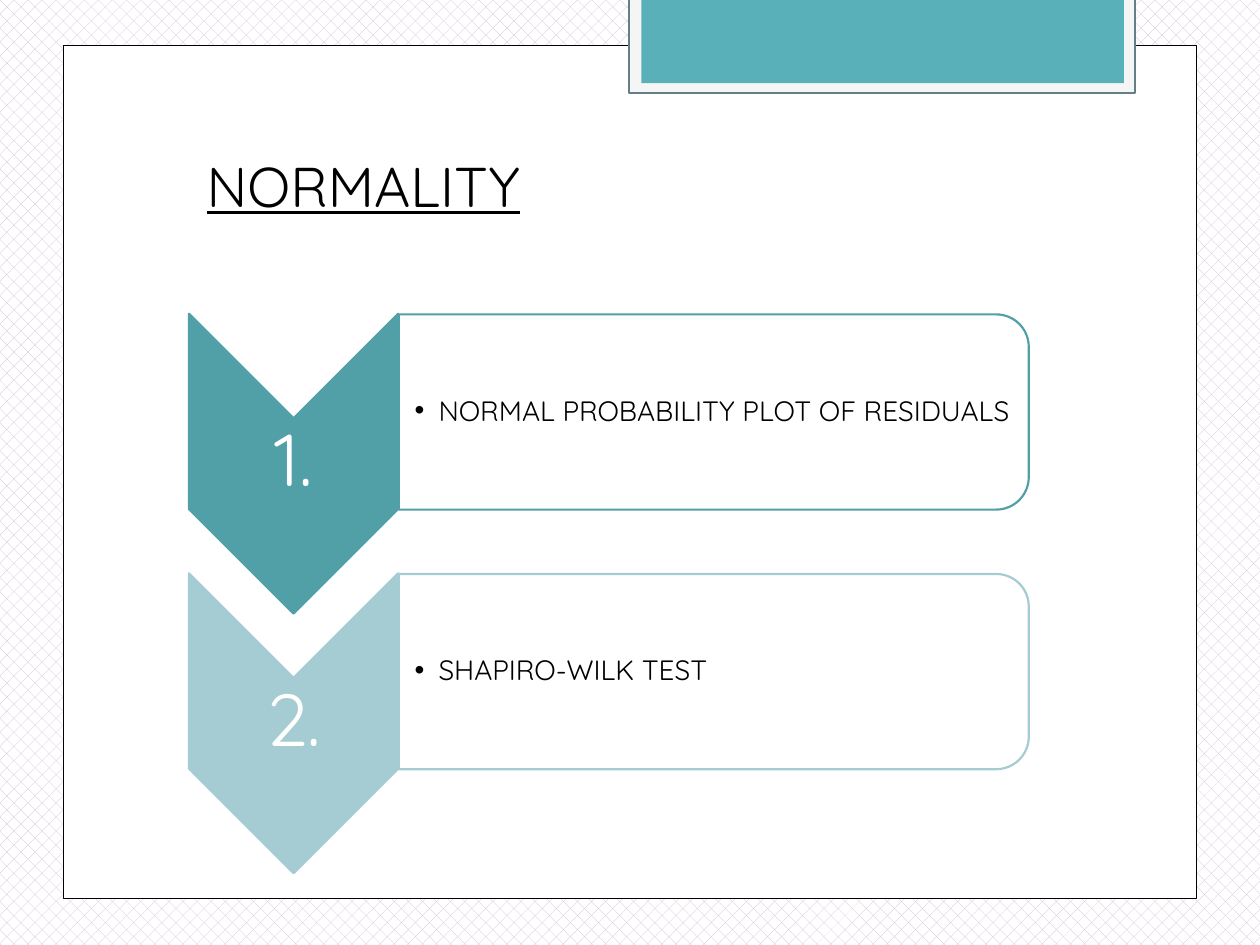
"""Build the NORMALITY slide: two numbered chevrons with text cards on a patterned backdrop."""
from dataclasses import dataclass
from typing import Optional

from lxml import etree
from pptx import Presentation
from pptx.dml.color import RGBColor
from pptx.enum.dml import MSO_PATTERN
from pptx.enum.shapes import MSO_SHAPE
from pptx.enum.text import MSO_ANCHOR, MSO_AUTO_SIZE, PP_ALIGN
from pptx.oxml.ns import qn
from pptx.util import Inches, Pt

RECTANGLE = MSO_SHAPE.RECTANGLE
HEXAGON = MSO_SHAPE.HEXAGON
CHEVRON = MSO_SHAPE.CHEVRON
CARD = MSO_SHAPE.ROUND_2_SAME_RECTANGLE
PATTERN = MSO_PATTERN.PERCENT_25
TOP, MIDDLE = MSO_ANCHOR.TOP, MSO_ANCHOR.MIDDLE
LEFT, CENTER = PP_ALIGN.LEFT, PP_ALIGN.CENTER
NO_AUTOFIT = MSO_AUTO_SIZE.NONE

WHITE = RGBColor(0xFF, 0xFF, 0xFF)
BLACK = RGBColor(0x00, 0x00, 0x00)
LILAC = RGBColor(0xD4, 0xB0, 0xD2)
PALE_GRAY = RGBColor(0xF5, 0xF5, 0xF5)
SLATE = RGBColor(0x64, 0x80, 0x86)
TAB_TEAL = RGBColor(0x59, 0xB0, 0xB9)
DARK_TEAL = RGBColor(0x51, 0xA0, 0xA8)
LIGHT_TEAL = RGBColor(0xA5, 0xCC, 0xD2)

FONT = "Quicksand"
ROW_PITCH = 2.06


@dataclass
class Style:
    fill: Optional[RGBColor] = None
    line: Optional[RGBColor] = None
    width: float = 1.25
    fill_opacity: int = 100
    line_opacity: int = 100


@dataclass
class Step:
    number: str
    text: str
    color: RGBColor


@dataclass
class Hexagon:
    left: float
    top: float
    fill_opacity: int
    line_opacity: int


STEPS = [
    Step("1.", "NORMAL PROBABILITY PLOT OF RESIDUALS", DARK_TEAL),
    Step("2.", "SHAPIRO-WILK TEST", LIGHT_TEAL),
]
STRIPS = [
    (1.08, 1.75), (0.08, 0.5), (0.33, 0.83), (1.55, 1.75), (0.55, 0.5), (0.8, 0.83),
    (7.33, 1.75), (9.58, 0.5), (9, 0.83), (4.25, 3.08), (3.25, 0.5), (3.5, 0.83),
]
HEXAGONS = [
    Hexagon(3.34, 0.36, 4, 8), Hexagon(4.97, 5.89, 6, 12), Hexagon(0.11, 5.91, 0, 12),
    Hexagon(0.14, 3.12, 7, 8), Hexagon(1.74, 5.92, 0, 12), Hexagon(7.53, 4.53, 10, 12),
    Hexagon(8.34, 5.93, 0, 12), Hexagon(8.34, 3.14, 7, 8),
]
CUT_HEXAGONS = [
    (10, [(0.08, 4.45), (0.19, 4.38), (0.96, 4.82), (0.95, 5.7), (0.2, 6.14), (0.08, 6.07)]),
    (4, [(9.26, 4.85), (10.01, 4.41), (10.09, 4.46), (10.09, 6.13), (10.02, 6.17), (9.26, 5.73)]),
    (0, [(9.26, 2.07), (10.01, 1.63), (10.1, 1.68), (10.09, 3.35), (10.02, 3.39), (9.26, 2.95)]),
]
CURVES = [
    [(0.07, 6.73), (0.61, 6.76), (1.15, 6.79), (1.9, 6.78), (2.65, 6.77), (3.58, 6.75),
     (4.58, 6.65), (5.58, 6.55), (7, 6.36), (7.92, 6.17), (8.83, 5.98), (9.77, 5.68), (10.07, 5.51)],
    [(0.07, 4.77), (0.36, 4.61), (0.65, 4.46), (1.21, 4.31), (1.78, 4.16), (2.59, 3.94),
     (3.47, 3.87), (4.36, 3.8), (5.44, 3.79), (6.54, 3.87), (7.64, 3.95), (9.47, 4.26), (10.07, 4.34)],
    [(0.06, 6.17), (1.27, 6.72), (2.47, 7.27), (3.34, 7.49)],
    [(0.07, 5.78), (0.38, 5.89), (0.7, 6), (1.28, 6.16), (1.86, 6.31), (2.73, 6.56),
     (3.57, 6.73), (4.4, 6.9), (5.45, 7.08), (6.28, 7.18), (7.11, 7.29), (8, 7.33),
     (8.53, 7.36), (9.05, 7.4), (9.19, 7.38), (9.45, 7.38), (9.71, 7.37), (9.89, 7.35), (10.07, 7.34)],
    [(2.42, 7.49), (2.6, 7.29), (2.78, 7.09), (3.02, 6.91), (3.26, 6.73), (3.6, 6.53),
     (3.88, 6.39), (4.16, 6.25), (4.33, 6.19), (4.7, 6.09), (5.06, 5.99), (5.73, 5.85),
     (6.08, 5.78), (6.44, 5.71), (6.49, 5.71), (6.8, 5.69), (7.11, 5.66), (7.6, 5.63),
     (7.94, 5.62), (8.29, 5.61), (8.86, 5.62), (9.53, 5.62), (9.71, 5.63), (9.88, 5.64), (10.06, 5.66)],
]


def set_opacity(parent, percent: int) -> None:
    if percent < 100:
        color = parent.find(f"{qn('a:solidFill')}/{qn('a:srgbClr')}")
        etree.SubElement(color, qn("a:alpha"), val=str(percent * 1000))


def apply_style(shape, style: Style) -> None:
    shape.shadow.inherit = False
    if style.fill is None:
        shape.fill.background()
    else:
        shape.fill.solid()
        shape.fill.fore_color.rgb = style.fill
        set_opacity(shape._element.spPr, style.fill_opacity)
    if style.line is None:
        shape.line.fill.background()
    else:
        shape.line.color.rgb = style.line
        shape.line.width = Pt(style.width)
        set_opacity(shape._element.spPr.find(qn("a:ln")), style.line_opacity)


def add_preset(slide, kind, box: tuple, style: Style, rotation: float = 0):
    shape = slide.shapes.add_shape(kind, *map(Inches, box))
    shape.rotation = rotation
    apply_style(shape, style)
    return shape


def add_outline(slide, points: list, style: Style, close: bool):
    corners = [(Inches(x), Inches(y)) for x, y in points]
    builder = slide.shapes.build_freeform(*corners[0])
    builder.add_line_segments(corners[1:], close=close)
    shape = builder.convert_to_shape()
    apply_style(shape, style)
    return shape


def add_curve(slide, controls: list) -> None:
    shape = add_outline(slide, controls, Style(None, WHITE, 0.5, line_opacity=20), False)
    outline = next(shape._element.iter(qn("a:moveTo"))).getparent()
    segments = outline.findall(qn("a:lnTo"))
    for start in range(0, len(segments), 3):
        curve = etree.SubElement(outline, qn("a:cubicBezTo"))
        for segment in segments[start:start + 3]:
            curve.append(segment[0])
            outline.remove(segment)


def write_text(shape, box: tuple, text: str, size: float, color: RGBColor,
               align=LEFT, anchor=MIDDLE, insets=(0.1, 0.05, 0.1, 0.05), spacing=0.9, bullet=False):
    shape.left, shape.top, shape.width, shape.height = map(Inches, box)
    frame = shape.text_frame
    frame.word_wrap = True
    frame.auto_size = NO_AUTOFIT
    frame.vertical_anchor = anchor
    frame.margin_left, frame.margin_top, frame.margin_right, frame.margin_bottom = map(Inches, insets)
    paragraph = frame.paragraphs[0]
    if bullet:
        properties = paragraph._p.get_or_add_pPr()
        properties.set("marL", str(Inches(0.19)))
        properties.set("indent", str(Inches(-0.19)))
        etree.SubElement(properties, qn("a:buChar"), char="•")
    paragraph.alignment = align
    paragraph.line_spacing = spacing
    paragraph.space_before = Pt(0)
    run = paragraph.add_run()
    run.text = text
    run.font.name = FONT
    run.font.size = Pt(size)
    run.font.color.rgb = color
    return run


def add_backdrop(slide) -> None:
    fill = slide.background.fill
    fill.patterned()
    fill.pattern = PATTERN
    fill.fore_color.rgb = LILAC
    fill.back_color.rgb = WHITE
    for left, width in STRIPS:
        add_preset(slide, RECTANGLE, (left, 0, width, 7.5), Style(WHITE, fill_opacity=10))
    for controls in CURVES:
        add_curve(slide, controls)
    for item in HEXAGONS:
        style = Style(WHITE if item.fill_opacity else None, WHITE, 1, item.fill_opacity, item.line_opacity)
        shape = add_preset(slide, HEXAGON, (item.left, item.top, 1.75, 1.52), style, 30)
        shape.adjustments[0] = 0.285
    for opacity, points in CUT_HEXAGONS:
        add_outline(slide, points, Style(WHITE if opacity else None, WHITE, 1, opacity, 12), True)
    add_preset(slide, RECTANGLE, (0.5, 0.36, 9, 6.77), Style(WHITE, BLACK, 0.5))
    add_preset(slide, RECTANGLE, (4.99, -0.02, 4.02, 0.76), Style(PALE_GRAY, SLATE))
    add_preset(slide, RECTANGLE, (5.09, -0.02, 3.83, 0.68), Style(TAB_TEAL))


def add_step(slide, step: Step, body, offset: float) -> None:
    add_preset(slide, CHEVRON, (1.14, 2.85 + offset, 2.38, 1.66), Style(step.color, step.color), 90)
    number_box = (1.5, 3.32 + offset, 1.66, 0.71)
    label = slide.shapes.add_textbox(*map(Inches, number_box))
    write_text(label, number_box, step.number, 42, WHITE, CENTER, insets=(0.03,) * 4)
    add_preset(slide, CARD, (4.89, 0.77 + offset, 1.55, 5), Style(WHITE, step.color, fill_opacity=90), 90)
    write_text(body, (3.17, 2.57 + offset, 4.93, 1.4), step.text, 16, BLACK,
               insets=(0.12, 0.01, 0.01, 0.01), bullet=True)
    slide.shapes._spTree.append(body._element)


def main() -> None:
    presentation = Presentation()
    presentation.slide_width, presentation.slide_height = Inches(10), Inches(7.5)
    slide = presentation.slides.add_slide(presentation.slide_layouts[3])
    title, *bodies = list(slide.placeholders)
    add_backdrop(slide)
    heading = write_text(title, (1.54, 1.15, 3.46, 0.64), "NORMALITY", 32, BLACK, anchor=TOP, spacing=1.0)
    heading.font.underline = True
    slide.shapes._spTree.append(title._element)
    for index, (step, body) in enumerate(zip(STEPS, bodies)):
        add_step(slide, step, body, index * ROW_PITCH)
    presentation.save("out.pptx")


if __name__ == "__main__":
    main()
